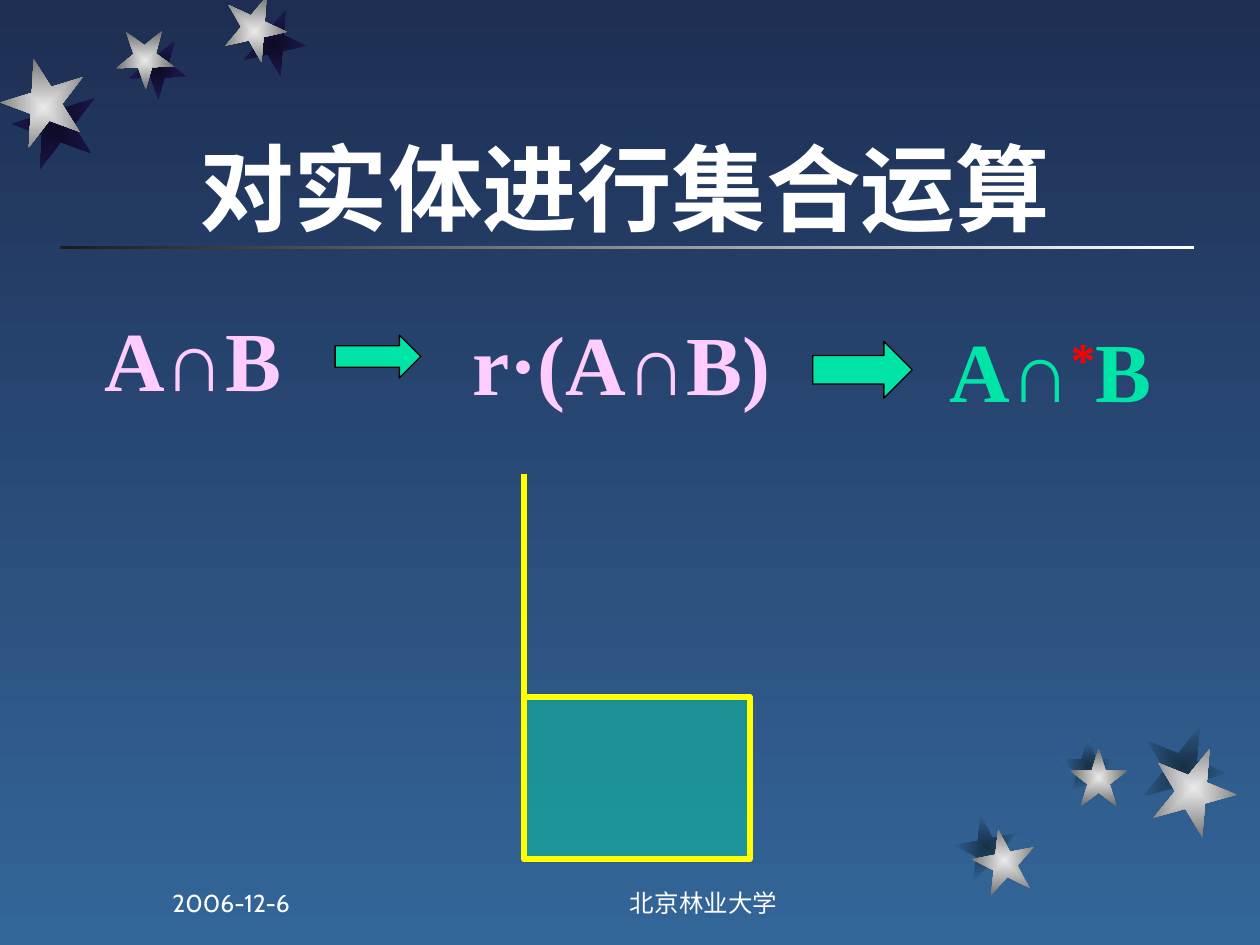
from lxml import etree
from pptx import Presentation
from pptx.dml.color import RGBColor
from pptx.enum.shapes import MSO_CONNECTOR, MSO_SHAPE
from pptx.enum.text import MSO_ANCHOR, MSO_AUTO_SIZE, PP_ALIGN
from pptx.oxml.ns import qn
from pptx.util import Inches, Pt

RECT, STAR, ARROW = MSO_SHAPE.RECTANGLE, MSO_SHAPE.STAR_5_POINT, MSO_SHAPE.RIGHT_ARROW
STRAIGHT = MSO_CONNECTOR.STRAIGHT
TOP, BOTTOM = MSO_ANCHOR.TOP, MSO_ANCHOR.BOTTOM
LEFT, CENTER = PP_ALIGN.LEFT, PP_ALIGN.CENTER
FIXED = MSO_AUTO_SIZE.NONE

COLORS = {
    "night": "1E2E53", "sea": "336699", "white": "FFFFFF", "coal": "1C1C1C",
    "ink": "0D0B26", "violet": "1E1A53", "deep": "172F46",
    "silver": "EAEAEA", "gray": "6B6B6B", "black": "000000",
    "pink": "FFCCFF", "mint": "00E4A8", "red": "FF0000", "yellow": "FFFF00",
}
HEAD = {"name": "Cabin", "size": Pt(54), "bold": True}
MATH = {"name": "Times New Roman", "size": Pt(48), "bold": True}
FOOT = {"name": "Cabin", "size": Pt(14)}

# Each star: size, rotation, shadow corner, front corner
UPPER = [
    (0.5, 167.3, (1.92, 0.11), (1.77, 0)),
    (0.46, 178.3, (1.02, 0.33), (0.92, 0.25)),
    (0.67, 200.3, (0.1, 0.69), (0.01, 0.52)),
]
LOWER = [
    (0.5, 349, (7.58, 6.47), (7.72, 6.58)),
    (0.46, 0, (8.41, 5.85), (8.49, 5.94)),
    (0.67, 22, (9.06, 5.75), (9.14, 5.92)),
]


def rgb(name):
    return RGBColor.from_string(COLORS[name])


def blend(fill, names, angle=0):
    fill.gradient()
    fill.gradient_angle = angle
    for stop, name in zip(fill.gradient_stops, names):
        stop.color.rgb = rgb(name)


def center_blend(shape):
    """Make the gradient spread from the middle of the shape."""
    grad = shape._element.spPr.find(qn("a:gradFill"))
    grad.remove(grad.find(qn("a:lin")))
    path = etree.SubElement(grad, qn("a:path"), path="rect")
    etree.SubElement(path, qn("a:fillToRect"), dict.fromkeys("ltrb", "50000"))


def add_shape(slide, kind, box, color=None, edge=None, width=0.75):
    shape = slide.shapes.add_shape(kind, *map(Inches, box))
    shape.shadow.inherit = False
    if color:
        shape.fill.solid()
        shape.fill.fore_color.rgb = rgb(color)
    if edge:
        shape.line.color.rgb = rgb(edge)
        shape.line.width = Pt(width)
    else:
        shape.line.fill.background()
    return shape


def add_stars(slide, group, shade):
    for layer, tones in enumerate((shade, ("silver", "gray"))):
        for size, turn, *spots in group:
            star = add_shape(slide, STAR, (*spots[layer], size, size))
            star.rotation = turn
            blend(star.fill, tones)
            center_blend(star)


def put_text(shape, runs, style, anchor=TOP, align=LEFT, wrap=True):
    """Fill a frame with runs of (text, colour, raised percent)."""
    frame = shape.text_frame
    for key, value in {"word_wrap": wrap, "auto_size": FIXED,
                       "vertical_anchor": anchor}.items():
        setattr(frame, key, value)
    para = frame.paragraphs[0]
    para.alignment = align
    for text, color, lift in runs:
        run = para.add_run()
        run.text = text
        for key, value in style.items():
            setattr(run.font, key, value)
        run.font.color.rgb = rgb(color)
        if lift:
            run.font._element.set("baseline", str(lift * 1000))


def add_text(slide, box, runs, style, **layout):
    put_text(slide.shapes.add_textbox(*map(Inches, box)), runs, style, **layout)


def add_title(slide, text):
    title = slide.shapes.title
    title.left, title.top, title.width, title.height = map(
        Inches, (1.48, 0.38, 7.5, 1.6))
    put_text(title, [(text, "white", 0)], HEAD, anchor=BOTTOM)


def add_solid(slide):
    """Draw the overlap of the two solids with its dangling edge."""
    face = add_shape(slide, RECT, (4.16, 5.53, 1.79, 1.29), "mint", "yellow", 3.5)
    tint = face._element.spPr.find(qn("a:solidFill"))[0]
    etree.SubElement(tint, qn("a:alpha"), val="40000")
    edge = slide.shapes.add_connector(
        STRAIGHT, *map(Inches, (4.16, 3.76, 4.16, 5.55)))
    edge.line.color.rgb = rgb("yellow")
    edge.line.width = Pt(3.5)
    etree.SubElement(edge._element.spPr, qn("a:effectLst"))


def main():
    deck = Presentation()
    deck.slide_width, deck.slide_height = Inches(10), Inches(7.5)
    slide = deck.slides.add_slide(deck.slide_layouts[5])
    blend(slide.background.fill, ("night", "sea"), 270)

    rule = add_shape(slide, RECT, (0.48, 1.95, 9, 0.03))
    blend(rule.fill, ("coal", "white"))
    add_stars(slide, UPPER, ("ink", "violet"))
    add_stars(slide, LOWER, ("deep", "sea"))
    add_title(slide, "对实体进行集合运算")
    add_solid(slide)

    add_text(slide, (0.73, 2.39, 1.6, 0.9), [("A∩B", "pink", 0)], MATH, wrap=False)
    add_text(slide, (3.65, 2.42, 2.69, 0.9), [("r·(A∩B)", "pink", 0)], MATH)
    add_text(slide, (7.44, 2.48, 2.17, 0.9),
             [("A∩", "mint", 0), ("*", "red", 30), ("B", "mint", 0)], MATH)
    for box in ((2.66, 2.66, 0.68, 0.34), (6.45, 2.71, 0.79, 0.45)):
        add_shape(slide, ARROW, box, "mint", "black")

    add_text(slide, (4, 6.83, 3.17, 0.5), [("北京林业大学", "white", 0)], FOOT,
             anchor=BOTTOM, align=CENTER)
    add_text(slide, (1.27, 6.83, 2.08, 0.5), [("2006-12-6", "white", 0)], FOOT,
             anchor=BOTTOM)
    deck.save("out.pptx")


if __name__ == "__main__":
    main()
